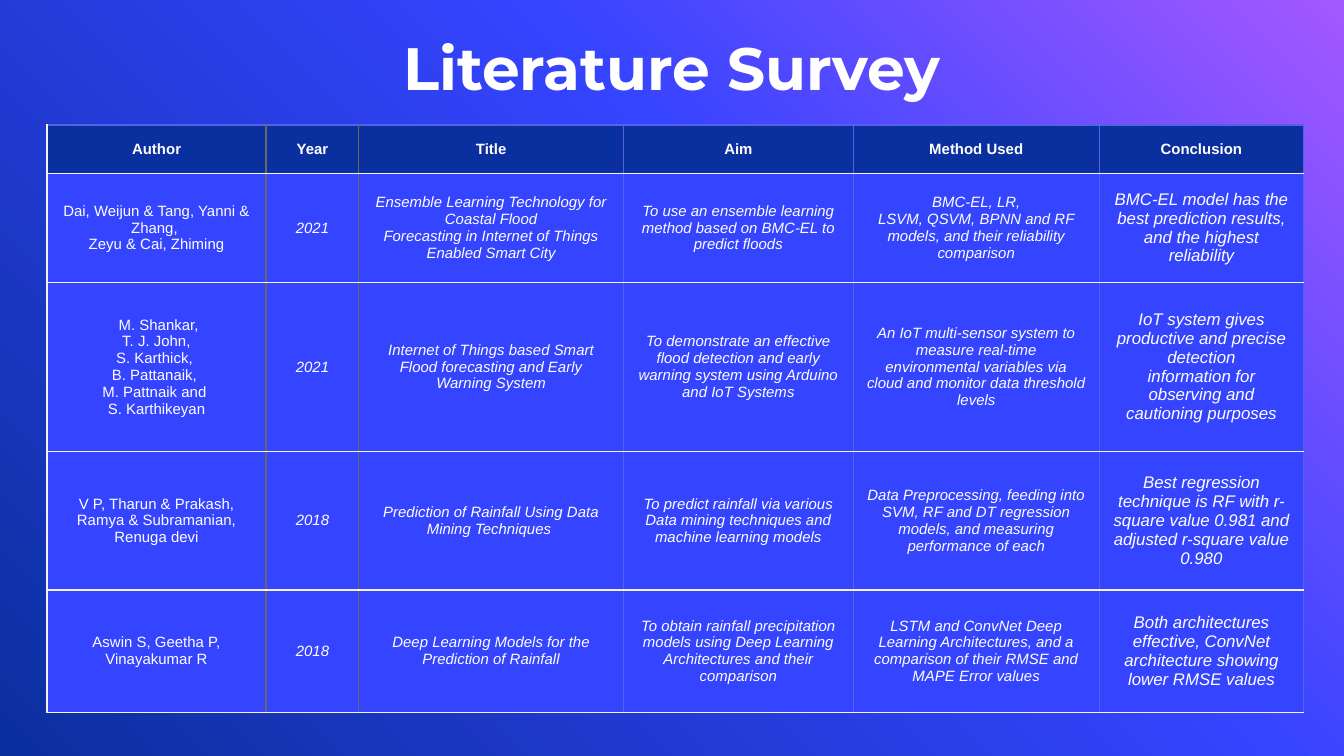
import pptx
import pptx.dml.color
import pptx.enum.text
import pptx.oxml
import pptx.oxml.ns
import pptx.util
import lxml.etree

RGBColor = pptx.dml.color.RGBColor
Inches = pptx.util.Inches
Pt = pptx.util.Pt
qn = pptx.oxml.ns.qn

WHITE = RGBColor(0xFF, 0xFF, 0xFF)
PALE = RGBColor(0xF3, 0xF3, 0xF3)
GRAY = RGBColor(0x66, 0x66, 0x66)
SOFT_BLUE = RGBColor(0x55, 0x62, 0xE8)
PURPLE = RGBColor(0xA4, 0x58, 0xFF)
BLUE = RGBColor(0x35, 0x44, 0xFF)
NAVY = RGBColor(0x0A, 0x2F, 0x9E)

TITLE = "Literature Survey"
HEADERS = ["Author", "Year", "Title", "Aim", "Method Used", "Conclusion"]
STUDIES = [
    ["Dai, Weijun & Tang, Yanni & Zhang, \nZeyu & Cai, Zhiming",
     "2021",
     "Ensemble Learning Technology for Coastal Flood\n"
     "Forecasting in Internet of Things Enabled Smart City",
     "To use an ensemble learning method based on BMC-EL to predict floods",
     "BMC-EL, LR,\nLSVM, QSVM, BPNN and RF models, and their reliability comparison",
     "BMC-EL model has the best prediction results, and the highest reliability"],
    [" M. Shankar,\n T. J. John, \nS. Karthick, \nB. Pattanaik, \nM. Pattnaik and \nS. Karthikeyan",
     "2021",
     "Internet of Things based Smart Flood forecasting and Early Warning System",
     "To demonstrate an effective flood detection and early warning system "
     "using Arduino and IoT Systems",
     "An IoT multi-sensor system to measure real-time environmental variables "
     "via cloud and monitor data threshold levels",
     "IoT system gives productive and precise detection\n"
     "information for observing and cautioning purposes"],
    ["V P, Tharun & Prakash, Ramya & Subramanian, Renuga devi",
     "2018",
     "Prediction of Rainfall Using Data Mining Techniques ",
     "To predict rainfall via various Data mining techniques and machine learning models",
     "Data Preprocessing, feeding into SVM, RF and DT regression models, "
     "and measuring performance of each",
     "Best regression technique is RF with r-square value 0.981 "
     "and adjusted r-square value 0.980"],
    ["Aswin S, Geetha P, Vinayakumar R",
     "2018",
     "Deep Learning Models for the Prediction of Rainfall",
     "To obtain rainfall precipitation models using Deep Learning Architectures "
     "and their comparison",
     "LSTM and ConvNet Deep Learning Architectures, and a comparison "
     "of their RMSE and MAPE Error values",
     "Both architectures effective, ConvNet architecture showing lower RMSE values"],
]
COLUMN_WIDTHS = [1.63, 0.69, 1.97, 1.71, 1.83, 1.52]
ROW_HEIGHTS = [0.36, 0.81, 1.26, 1.03, 0.91]
TABLE_LEFT, TABLE_TOP = 0.35, 0.93
GRADIENT_STOPS = [(0, PURPLE), (39, BLUE), (100, NAVY)]


def paint_background(slide):
    fill = slide.background.fill
    fill.gradient()
    fill.gradient_angle = 225
    stop_list = next(slide.background._cSld.iter(qn("a:gsLst")))
    for stop in list(stop_list):
        stop_list.remove(stop)
    for position, color in GRADIENT_STOPS:
        stop = lxml.etree.SubElement(stop_list, qn("a:gs"), pos=str(position * 1000))
        lxml.etree.SubElement(stop, qn("a:srgbClr"), val=str(color))


def write_paragraphs(text_frame, text, font_name, size, bold=False, italic=False):
    for index, line in enumerate(text.split("\n")):
        paragraph = text_frame.paragraphs[0] if index == 0 else text_frame.add_paragraph()
        paragraph.alignment = pptx.enum.text.PP_ALIGN.CENTER
        run = paragraph.add_run()
        run.text = line
        run.font.name = font_name
        run.font.size = Pt(size)
        run.font.bold = bold
        run.font.italic = italic
        run.font.color.rgb = WHITE


def set_borders(cell, left, right, top, bottom):
    properties = cell._tc.get_or_add_tcPr()
    sides = [("a:lnL", left), ("a:lnR", right), ("a:lnT", top), ("a:lnB", bottom)]
    for index, (tag, color) in enumerate(sides):
        line = lxml.etree.Element(qn(tag), w=str(Pt(0.75)))
        solid = lxml.etree.SubElement(line, qn("a:solidFill"))
        lxml.etree.SubElement(solid, qn("a:srgbClr"), val=str(color))
        properties.insert(index, line)


def add_title(slide):
    box = slide.shapes.add_textbox(Inches(1.71), Inches(0.24), Inches(6.58), Inches(0.52))
    frame = box.text_frame
    frame.word_wrap = True
    frame.margin_left = frame.margin_right = frame.margin_top = frame.margin_bottom = 0
    frame.vertical_anchor = pptx.enum.text.MSO_ANCHOR.BOTTOM
    write_paragraphs(frame, TITLE, "Montserrat", 32, bold=True)


def add_survey_table(slide):
    rows = [HEADERS] + STUDIES
    dividers = [PALE, GRAY, GRAY] + [SOFT_BLUE] * (len(HEADERS) - 2)
    table = slide.shapes.add_table(
        len(rows), len(HEADERS), Inches(TABLE_LEFT), Inches(TABLE_TOP),
        Inches(sum(COLUMN_WIDTHS)), Inches(sum(ROW_HEIGHTS))).table
    table.horz_banding = False
    for column, width in zip(table.columns, COLUMN_WIDTHS):
        column.width = Inches(width)
    for row, height in zip(table.rows, ROW_HEIGHTS):
        row.height = Inches(height)
    for row_index, texts in enumerate(rows):
        is_header = row_index == 0
        for column_index, text in enumerate(texts):
            cell = table.cell(row_index, column_index)
            cell.margin_left = cell.margin_right = Inches(0.1)
            cell.margin_top = cell.margin_bottom = Inches(0.1)
            cell.vertical_anchor = pptx.enum.text.MSO_ANCHOR.MIDDLE
            cell.fill.solid()
            cell.fill.fore_color.rgb = NAVY if is_header else BLUE
            is_conclusion = column_index == len(HEADERS) - 1
            write_paragraphs(cell.text_frame, text, "Arial",
                             9 if is_conclusion and not is_header else 8,
                             bold=is_header, italic=not is_header and column_index > 0)
            set_borders(cell, dividers[column_index], dividers[column_index + 1],
                        SOFT_BLUE if is_header else PALE, PALE)


def main():
    presentation = pptx.Presentation()
    presentation.slide_width = Inches(10)
    presentation.slide_height = presentation.slide_width * 9 // 16
    slide = presentation.slides.add_slide(presentation.slide_layouts[6])
    paint_background(slide)
    add_title(slide)
    add_survey_table(slide)
    presentation.save("out.pptx")


if __name__ == "__main__":
    main()
